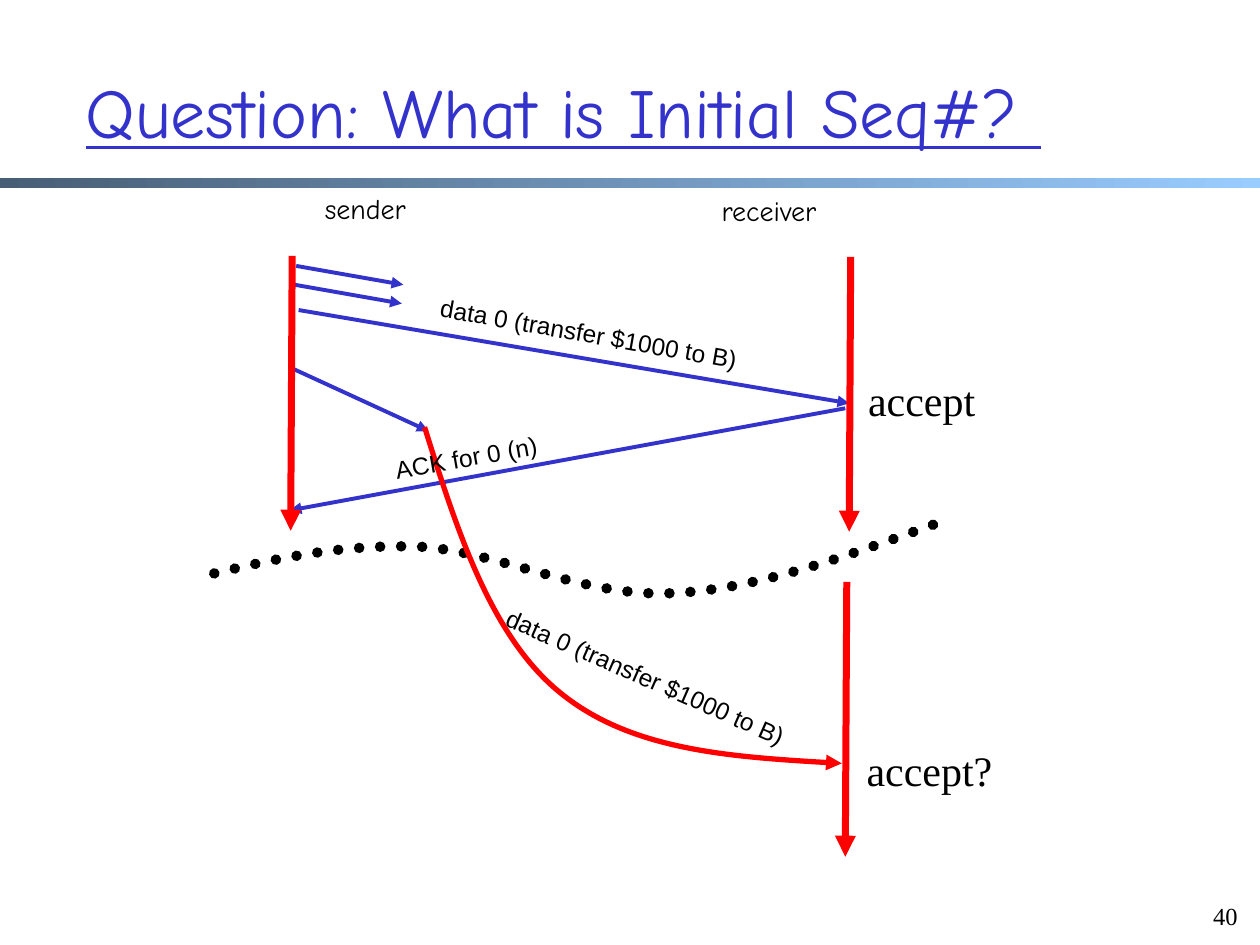
from pptx import Presentation
from pptx.dml.color import RGBColor
from pptx.enum.dml import MSO_LINE
from pptx.enum.shapes import MSO_CONNECTOR, MSO_SHAPE
from pptx.enum.text import MSO_ANCHOR, PP_ALIGN
from pptx.oxml.ns import qn
from pptx.util import Cm, Pt
from lxml import etree

BLUE = RGBColor(0x33, 0x33, 0xCC)
RED = RGBColor(0xFF, 0x00, 0x00)
BLACK = RGBColor(0x00, 0x00, 0x00)
SLATE = RGBColor(0x47, 0x5E, 0x76)
SKY = RGBColor(0x99, 0xCC, 0xFF)


def add_text(text, box, font, size, wrap=False, angle=0):
    s = slide.shapes.add_textbox(*map(Cm, box))
    s.rotation = angle
    tf = s.text_frame
    tf.word_wrap = wrap
    tf.text = text
    f = tf.paragraphs[0].runs[0].font
    f.name, f.size, f.color.rgb = font, Pt(size), BLACK
    return tf


def style_line(s, color, width, arrow=True):
    s.line.color.rgb = color
    s.line.width = Pt(width)
    if arrow:
        etree.SubElement(s.line._get_or_add_ln(), qn("a:tailEnd"), type="triangle")


prs = Presentation()
prs.slide_width, prs.slide_height = Cm(25.4), Cm(19.05)
slide = prs.slides.add_slide(prs.slide_layouts[5])

# Gradient rule under the title
bar = slide.shapes.add_shape(MSO_SHAPE.RECTANGLE, 0, Cm(3.58), prs.slide_width, Cm(0.22))
bar.shadow.inherit = False
bar.line.fill.background()
bar.fill.gradient()
bar.fill.gradient_angle = 0
for stop, color in zip(bar.fill.gradient_stops, (SLATE, SKY)):
    stop.color.rgb = color

# Title
title = slide.shapes.title
title.left, title.top, title.width, title.height = map(Cm, (1.47, 0.64, 22.96, 3.18))
tf = title.text_frame
tf.text = "Question: What is Initial Seq#? "
tf.vertical_anchor = MSO_ANCHOR.MIDDLE
p = tf.paragraphs[0]
p.alignment = PP_ALIGN.LEFT
f = p.runs[0].font
f.name, f.size, f.color.rgb, f.underline = "Comic Neue", Pt(40), BLUE, True

# Messages, then the timelines, which all have one length and a slight lean
messages = [
    (6.02, 6.25, 17.12, 8.13),
    (17.04, 8.23, 5.84, 10.29),
    (5.97, 5.36, 8.13, 5.74),
    (5.94, 5.74, 8.1, 6.12),
    (5.92, 7.44, 8.64, 8.69),
]
timeline_tops = [(5.89, 5.16), (17.15, 5.18), (17.07, 11.73)]
timelines = [(x, y, x - 0.03, y + 5.54) for x, y in timeline_tops]
for lines, color, width in ((messages, BLUE, 2.25), (timelines, RED, 4)):
    for ends in lines:
        s = slide.shapes.add_connector(MSO_CONNECTOR.STRAIGHT, *map(Cm, ends))
        style_line(s, color, width)
        etree.SubElement(s._element.spPr, qn("a:effectLst"))

# Dotted boundary and delayed packet: each three points after the start make a Bezier
boundary = [(4.32, 11.56), (5.61, 11.25), (6.91, 10.97), (8.43, 11.02), (9.98, 11.1),
            (11.79, 12.04), (13.51, 11.96), (15.27, 11.89), (17.09, 11.2), (18.92, 10.54)]
delayed = [(8.56, 8.61), (9.22, 10.72), (9.91, 12.85), (11.3, 13.97),
           (12.7, 15.11), (14.83, 15.27), (16.97, 15.39)]
for points, color, width, dotted in ((boundary, BLACK, 6, True), (delayed, RED, 3, False)):
    start, *rest = [(Cm(x), Cm(y)) for x, y in points]
    builder = slide.shapes.build_freeform(*start)
    builder.add_line_segments(rest, close=False)
    s = builder.convert_to_shape()
    s.shadow.inherit = False
    s.fill.background()
    style_line(s, color, width, arrow=not dotted)
    if dotted:
        s.line.dash_style = MSO_LINE.ROUND_DOT
        s.line._get_or_add_ln().set("cap", "rnd")
    path = next(s._element.iter(qn("a:path")))
    segments = path.findall(qn("a:lnTo"))
    for i in range(0, len(segments), 3):
        curve = etree.SubElement(path, qn("a:cubicBezTo"))
        for segment in segments[i:i + 3]:
            curve.append(segment[0])
            path.remove(segment)

# Labels
transfer = "data 0 (transfer $1000 to B)"
add_text("sender", (6.3, 3.73, 2.31, 0.94), "Comic Neue", 16)
add_text("receiver", (14.3, 3.78, 2.72, 0.94), "Comic Neue", 16)
add_text(transfer, (8.59, 6.3, 6.58, 0.86), "Arial", 14, angle=10)
add_text("ACK for 0 (n)", (7.67, 8.43, 7.59, 0.84), "Arial", 14, wrap=True, angle=350)
add_text(transfer, (9.73, 13.23, 6.58, 0.86), "Arial", 14, angle=23.8)
add_text("accept", (17.25, 7.42, 2.67, 1.27), "Times New Roman", 24)
add_text("accept?", (17.22, 14.88, 3.05, 1.27), "Times New Roman", 24)

# Slide number
tf = add_text("40", (24.03, 17.91, 1.17, 0.97), "Times New Roman", 14, wrap=True)
tf.vertical_anchor = MSO_ANCHOR.BOTTOM
tf.paragraphs[0].alignment = PP_ALIGN.RIGHT

prs.save("out.pptx")
